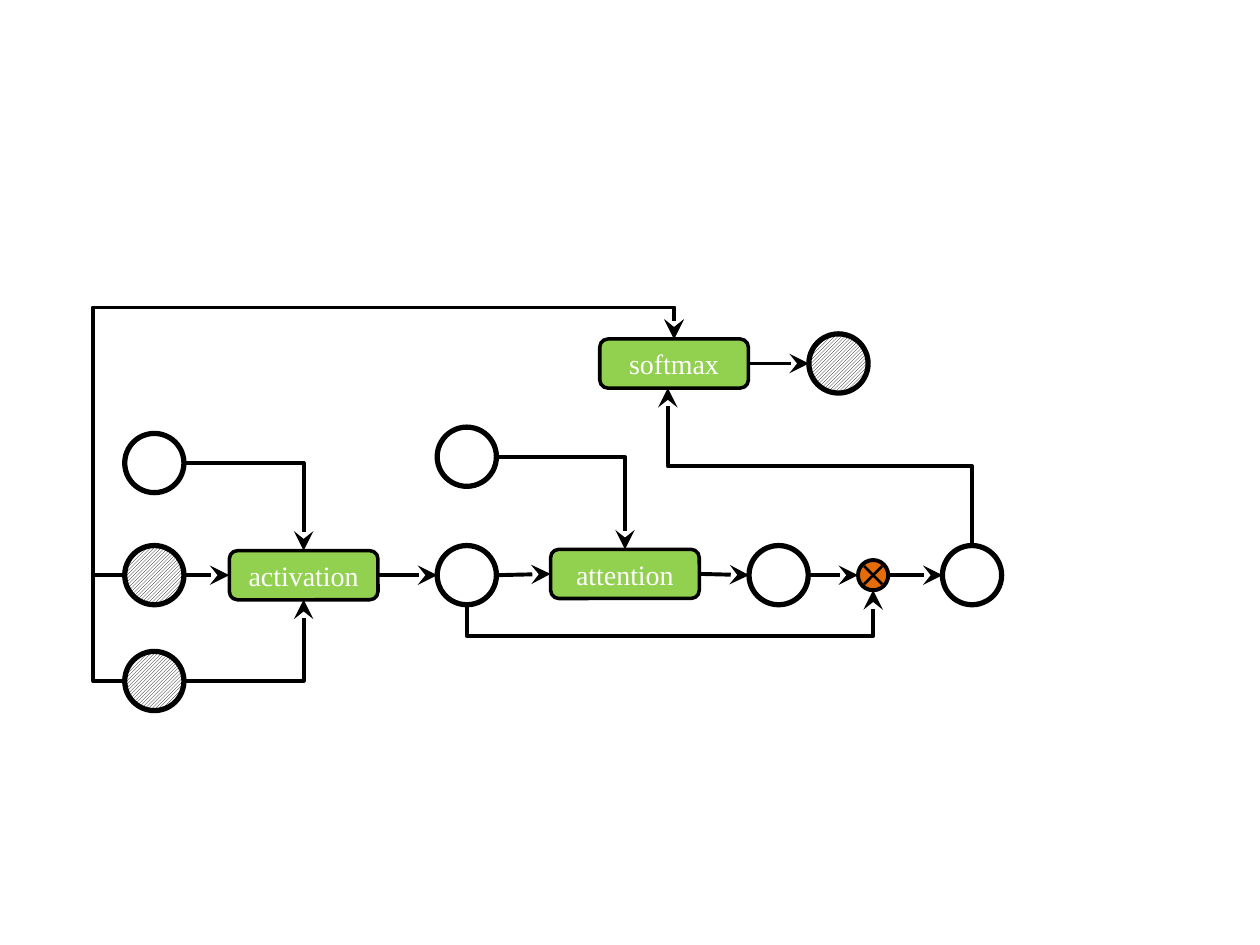
from dataclasses import dataclass
from math import atan2, degrees

from lxml.etree import SubElement
from pptx import Presentation
from pptx.dml.color import RGBColor
from pptx.enum.dml import MSO_PATTERN_TYPE as Pattern
from pptx.enum.shapes import MSO_CONNECTOR as Link, MSO_SHAPE as Preset
from pptx.enum.text import MSO_ANCHOR as Anchor, PP_ALIGN as Align
from pptx.oxml.ns import qn
from pptx.util import Emu, Inches, Pt

COLORS = {"ink": "000000", "paper": "FFFFFF", "layer": "92D050", "product": "E46C0A"}
COLUMNS, ROWS = 100, 75


def color(name):
    return RGBColor.from_string(COLORS[name])


@dataclass
class Node:
    """A placed element, known by its centre and size in grid cells."""
    x: float
    y: float
    width: float
    height: float

    @property
    def left(self):
        return self.x - self.width / 2, self.y

    @property
    def right(self):
        return self.x + self.width / 2, self.y

    @property
    def top(self):
        return self.x, self.y - self.height / 2

    @property
    def bottom(self):
        return self.x, self.y + self.height / 2


class Diagram:
    font, font_size = "Times New Roman", Pt(16)
    state_size, layer_size, product_size = 4.7, (11.8, 3.9), 2.4

    def __init__(self, deck):
        self.slide = deck.slides.add_slide(deck.slide_layouts[6])
        self.column = deck.slide_width / COLUMNS
        self.row = deck.slide_height / ROWS

    def place(self, x, y):
        return Emu(round(x * self.column)), Emu(round(y * self.row))

    def outline(self, item, weight):
        item.line.color.rgb = color("ink")
        item.line.width = Pt(weight)

    def box(self, preset, node, weight, shapes=None):
        corner = self.place(node.left[0], node.top[1])
        shape = (shapes or self.slide.shapes).add_shape(
            preset, *corner, *self.place(node.width, node.height))
        shape.shadow.inherit = False
        self.outline(shape, weight)
        return shape

    def state(self, x, y, observed=False):
        """Draw a circle, hatched when the value is observed."""
        node = Node(x, y, self.state_size, self.state_size)
        fill = self.box(Preset.OVAL, node, 3).fill
        if observed:
            fill.patterned()
            fill.pattern = Pattern.LIGHT_UPWARD_DIAGONAL
            fill.fore_color.rgb = color("ink")
            fill.back_color.rgb = color("paper")
        else:
            fill.background()
        return node

    def layer(self, label, x, y):
        node = Node(x, y, *self.layer_size)
        shape = self.box(Preset.ROUNDED_RECTANGLE, node, 2)
        shape.fill.solid()
        shape.fill.fore_color.rgb = color("layer")
        frame = shape.text_frame
        frame.margin_left = frame.margin_right = 0
        frame.margin_top = frame.margin_bottom = 0
        frame.vertical_anchor = Anchor.MIDDLE
        frame.text = label
        paragraph = frame.paragraphs[0]
        paragraph.alignment = Align.CENTER
        font = paragraph.runs[0].font
        font.name, font.size = self.font, self.font_size
        font.color.rgb = color("paper")
        return node

    def product(self, x, y):
        """Draw the multiplication sign: a disc grouped with its cross."""
        node = Node(x, y, self.product_size, self.product_size)
        shapes = self.slide.shapes.add_group_shape().shapes
        disc = self.box(Preset.OVAL, node, 2.25, shapes)
        disc.fill.solid()
        disc.fill.fore_color.rgb = color("product")
        arm = 0.72
        for rise in (arm, -arm):
            self.link(Link.STRAIGHT, (x - arm, y - rise), (x + arm, y + rise), 1.5, shapes)
        return node

    def link(self, kind, start, end, weight=2.25, shapes=None):
        line = (shapes or self.slide.shapes).add_connector(
            kind, *self.place(*start), *self.place(*end))
        self.outline(line, weight)
        SubElement(line._element.spPr, qn("a:effectLst"))
        return line

    def point(self, line):
        SubElement(line.line._get_or_add_ln(), qn("a:tailEnd"),
                   type="stealth", w="lg", len="lg")

    def arrow(self, start, end):
        self.point(self.link(Link.STRAIGHT, start, end))

    def route(self, start, *stops):
        """Draw an elbow arrow through the given corners to the last stop.

        The connector is turned so that its own x axis follows the first leg.
        """
        end, corner = stops[-1], stops[0]
        run, rise = corner[0] - start[0], corner[1] - start[1]
        length = abs(run) + abs(rise)
        cosine, sine = run / length, rise / length

        def turned(spot):
            x, y = spot[0] - start[0], spot[1] - start[1]
            return x * cosine + y * sine, y * cosine - x * sine

        along, across = turned(end)
        half_x, half_y = abs(along) / 2, abs(across) / 2
        x, y = (start[0] + end[0]) / 2, (start[1] + end[1]) / 2
        line = self.link(Link.ELBOW, (x - half_x, y - half_y), (x + half_x, y + half_y))
        properties = line._element.spPr
        frame = properties.find(qn("a:xfrm"))
        frame.set("rot", str(round(degrees(atan2(sine, cosine))) % 360 * 60000))
        frame.set("flipH", str(int(along < 0)))
        frame.set("flipV", str(int(across < 0)))

        geometry = properties.find(qn("a:prstGeom"))
        geometry.set("prst", f"bentConnector{len(stops)}")
        guides = geometry.find(qn("a:avLst"))
        for index, bend in enumerate(stops[:-2]):
            share = turned(bend)[index] / (along, across)[index]
            SubElement(guides, qn("a:gd"), name=f"adj{index + 1}",
                       fmla=f"val {round(share * 100000)}")
        self.point(line)


def main():
    deck = Presentation()
    deck.slide_width, deck.slide_height = Inches(10), Inches(7.5)
    diagram = Diagram(deck)

    inputs, hidden, main_row = 12.25, 37.05, 45.65
    weights = diagram.state(inputs, 36.75)
    current = diagram.state(inputs, main_row, observed=True)
    context = diagram.state(inputs, 54.05, observed=True)
    activation = diagram.layer("activation", 24.1, main_row)
    features = diagram.state(hidden, main_row)
    query = diagram.state(hidden, 36.25)
    attention = diagram.layer("attention", 49.6, 45.55)
    scores = diagram.state(61.8, main_row)
    product = diagram.product(69.3, main_row)
    attended = diagram.state(77.15, main_row)
    softmax = diagram.layer("softmax", 53.5, 28.85)
    prediction = diagram.state(66.55, 28.85, observed=True)

    chain = [current, activation, features, attention, scores, product, attended]
    for source, target in [*zip(chain, chain[1:]), (softmax, prediction)]:
        diagram.arrow(source.right, target.left)

    for source, target_end in [(weights, activation.top), (query, attention.top),
                               (context, activation.bottom)]:
        diagram.route(source.right, (target_end[0], source.y), target_end)

    bypass_row, return_row, softmax_entry = 50.5, 37, 53
    diagram.route(features.bottom, (features.x, bypass_row),
                  (product.x, bypass_row), product.bottom)
    diagram.route(attended.top, (attended.x, return_row),
                  (softmax_entry, return_row), (softmax_entry, softmax.bottom[1]))

    skip_column, skip_row = 7.4, 24.4
    for source in (current, context):
        diagram.route(source.left, (skip_column, source.y), (skip_column, skip_row),
                      (softmax.x, skip_row), softmax.top)

    deck.save("out.pptx")


if __name__ == "__main__":
    main()
